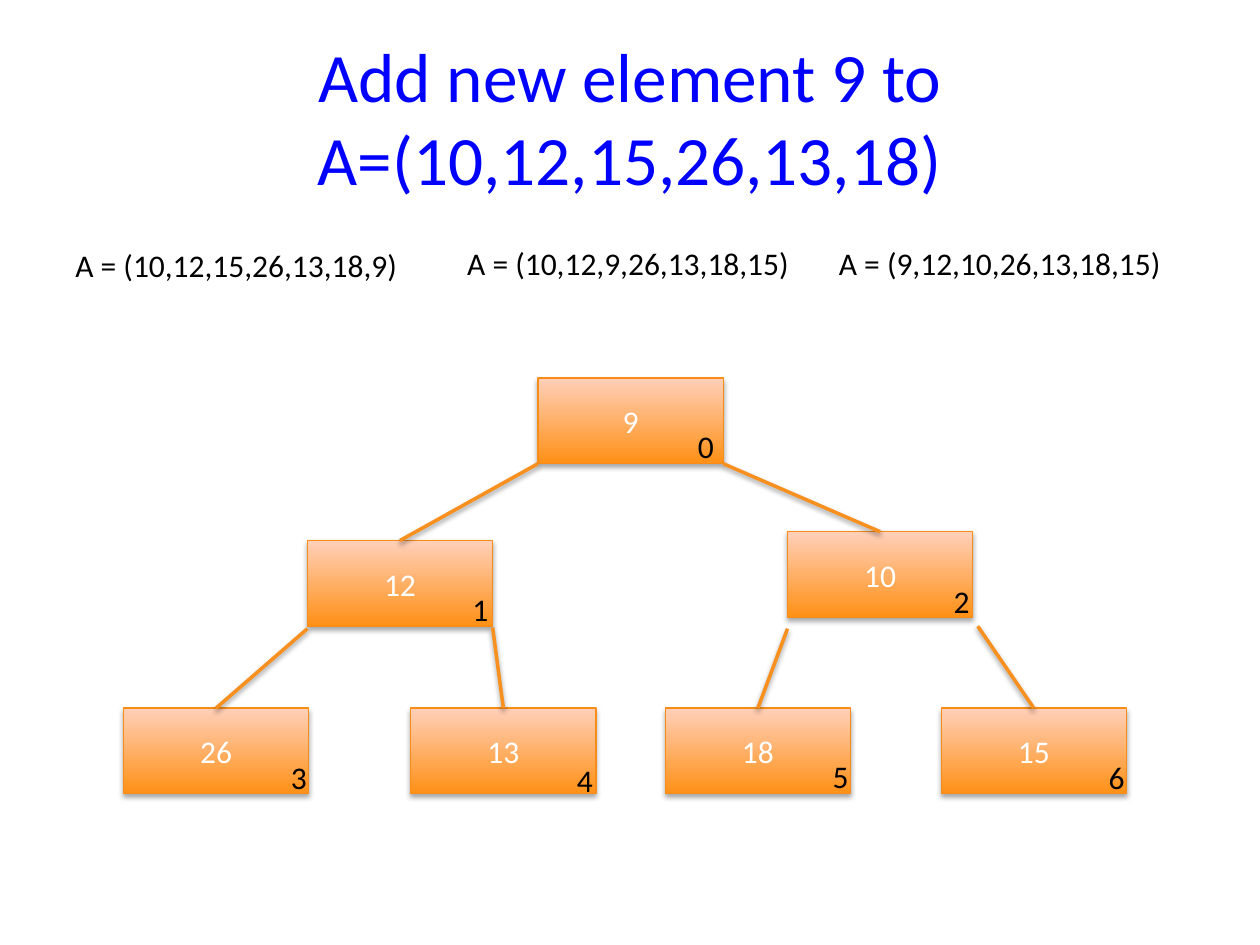
from dataclasses import dataclass

from lxml.etree import SubElement
from pptx import Presentation
from pptx.dml.color import RGBColor
from pptx.enum.shapes import MSO_CONNECTOR as Connector, MSO_SHAPE as Shape
from pptx.enum.text import MSO_ANCHOR as Anchor, MSO_AUTO_SIZE as AutoSize, PP_ALIGN as Align
from pptx.oxml.ns import qn
from pptx.util import Inches, Pt

BLUE = RGBColor(0x00, 0x00, 0xFF)
BLACK = RGBColor(0x00, 0x00, 0x00)
WHITE = RGBColor(0xFF, 0xFF, 0xFF)
ORANGE = RGBColor(0xFF, 0x90, 0x16)
PEACH = RGBColor(0xFF, 0xD0, 0xB9)
BORDER = RGBColor(0xF7, 0x8D, 0x18)
EDGE = RGBColor(0xF7, 0x90, 0x1E)

FONT = "Calibri"
CELL = Inches(0.1)  # the slide is a grid of 100 columns by 75 rows
NODE_W, NODE_H = 14.7, 6.8
LABEL_W, LABEL_H = 3.3, 4

# Heap order: value, column and row in the tree, offset of the index label
HEAP = [
    ("9", 32.9, 0, (11.7, 3.4)),
    ("12", 14.6, 12.9, (12.1, 3.4)),
    ("10", 52.7, 12.2, (12.2, 3.5)),
    ("26", 0, 26.2, (12.3, 3.5)),
    ("13", 22.8, 26.2, (12.2, 3.7)),
    ("18", 43, 26.2, (12.3, 3.4)),
    ("15", 64.9, 26.2, (12.3, 3.5)),
]
# Gap between a parent's lower corner and the edge to a child, by child index
EDGE_GAPS = {3: (0, 0.2), 4: (0, 0.1), 5: (0, 0.9), 6: (0.4, 0.7)}
STEPS = [
    ("A = (10,12,15,26,13,18,9)", 0, 0.1),
    ("A = (10,12,9,26,13,18,15)", 31.1, 0),
    ("A = (9,12,10,26,13,18,15)", 60.6, 0),
]


@dataclass
class Box:
    """An area of the slide in grid columns and rows."""
    left: float
    top: float
    width: float
    height: float

    def inner(self, col, row, width, height):
        """Return a box placed relative to this one."""
        return Box(self.left + col, self.top + row, width, height)

    def emu(self):
        """Return left, top, width and height as lengths."""
        return [round(n * CELL) for n in (self.left, self.top, self.width, self.height)]


def write(frame, text, size=18, color=BLACK, align=Align.LEFT, anchor=Anchor.TOP, wrap=True):
    """Put one formatted paragraph into a text frame."""
    frame.word_wrap = wrap
    frame.vertical_anchor = anchor
    paragraph = frame.paragraphs[0]
    paragraph.alignment = align
    run = paragraph.add_run()
    run.text = text
    run.font.size, run.font.name = Pt(size), FONT
    run.font.color.rgb = color


def add_label(slide, box, text):
    """Add a plain black label that does not wrap."""
    frame = slide.shapes.add_textbox(*box.emu()).text_frame
    write(frame, text, wrap=False)
    frame.auto_size = AutoSize.SHAPE_TO_FIT_TEXT


def cast_shadow(element, distance, alpha):
    """Give a shape or connector a soft shadow below it."""
    effects = SubElement(element.spPr, qn("a:effectLst"))
    shadow = SubElement(effects, qn("a:outerShdw"), blurRad=str(Pt(3.1)),
                        dist=str(Pt(distance)), dir="5400000", rotWithShape="0")
    color = SubElement(shadow, qn("a:srgbClr"), val="000000")
    SubElement(color, qn("a:alpha"), val=str(alpha * 1000))


def add_node(slide, box, value):
    """Add one heap node with its value."""
    node = slide.shapes.add_shape(Shape.RECTANGLE, *box.emu())
    node.fill.gradient()
    node.fill.gradient_angle = 90
    for stop, color, position in zip(node.fill.gradient_stops, (ORANGE, PEACH), (0, 1)):
        stop.color.rgb, stop.position = color, position
    node.line.color.rgb, node.line.width = BORDER, Pt(0.75)
    cast_shadow(node._element, 1.8, 35)
    write(node.text_frame, value, color=WHITE, align=Align.CENTER, anchor=Anchor.MIDDLE)


def add_edge(slide, parent, child, is_right, gap):
    """Join a lower corner of the parent to the top centre of the child."""
    start_x = parent.left + is_right * parent.width + gap[0]
    start_y = parent.top + parent.height + gap[1]
    ends = (start_x, start_y, child.left + child.width / 2, child.top)
    edge = slide.shapes.add_connector(Connector.STRAIGHT, *(round(n * CELL) for n in ends))
    edge.line.color.rgb, edge.line.width = EDGE, Pt(2)
    cast_shadow(edge._element, 1.6, 38)


def add_heap(slide, area):
    """Draw the heap: nodes, then edges, then index labels."""
    nodes = [area.inner(col, row, NODE_W, NODE_H) for _, col, row, _ in HEAP]
    for box, (value, *_) in zip(nodes, HEAP):
        add_node(slide, box, value)
    for index in range(1, len(nodes)):
        add_edge(slide, nodes[(index - 1) // 2], nodes[index],
                 index % 2 == 0, EDGE_GAPS.get(index, (0, 0)))
    for index, (box, (*_, offset)) in enumerate(zip(nodes, HEAP)):
        add_label(slide, box.inner(*offset, LABEL_W, LABEL_H), str(index))


def add_title(slide, area, text):
    """Place and format the title."""
    title = slide.shapes.title
    title.left, title.top, title.width, title.height = area.emu()
    write(title.text_frame, text, size=39.6, color=BLUE,
          align=Align.CENTER, anchor=Anchor.MIDDLE)
    title.text_frame.auto_size = AutoSize.NONE


def add_steps(slide, area):
    """Write the array after each step of the insertion."""
    for text, col, row in STEPS:
        add_label(slide, area.inner(col, row, 27.9, LABEL_H), text)


def main():
    """Build the slide."""
    deck = Presentation()
    deck.slide_width, deck.slide_height = 100 * CELL, 75 * CELL
    slide = deck.slides.add_slide(deck.slide_layouts[5])
    add_title(slide, Box(5, 3, 90, 12.5), "Add new element 9 to A=(10,12,15,26,13,18)")
    add_heap(slide, Box(9.8, 30, 79.6, 33))
    add_steps(slide, Box(5, 18.9, 88.5, 4.1))
    deck.save("out.pptx")


main()
